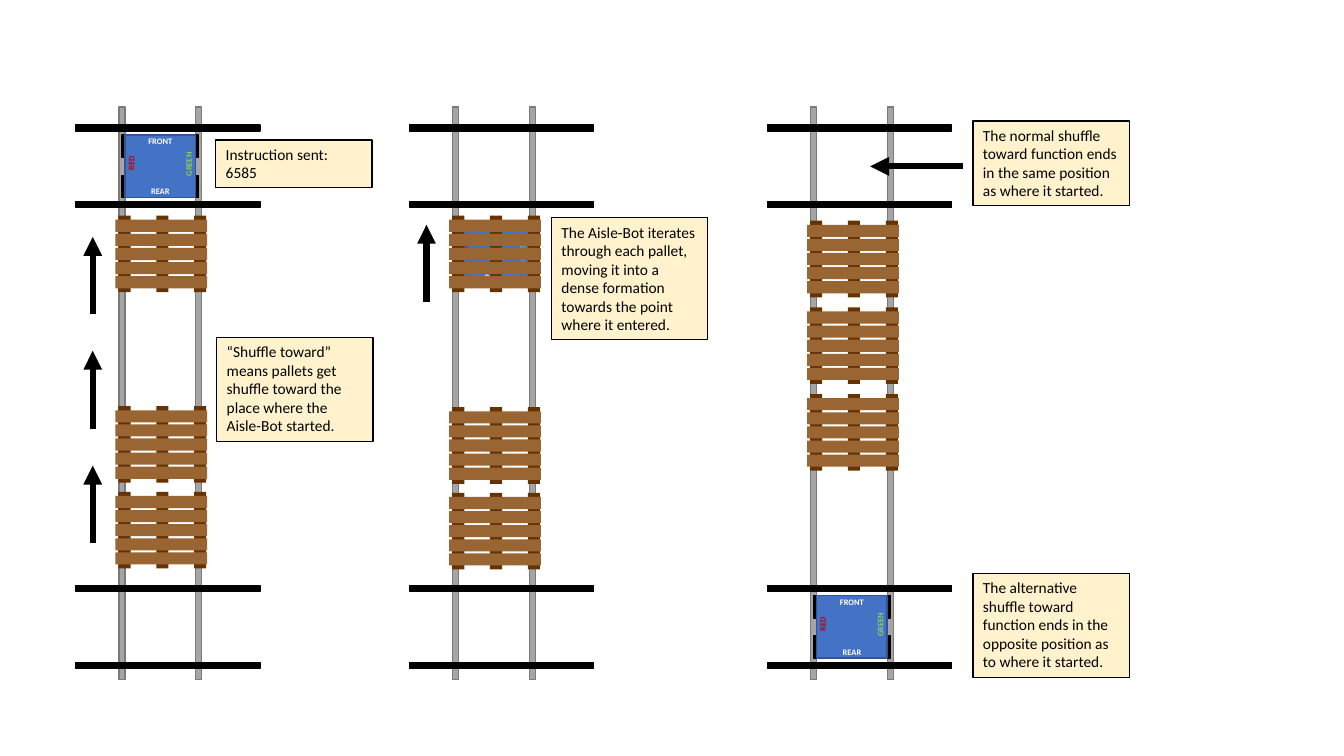
from lxml import etree
from pptx import Presentation
from pptx.dml.color import RGBColor
from pptx.enum.shapes import MSO_CONNECTOR, MSO_SHAPE
from pptx.enum.text import MSO_ANCHOR, PP_ALIGN
from pptx.oxml.ns import qn
from pptx.util import Inches, Pt

RECT = MSO_SHAPE.RECTANGLE
STRAIGHT = MSO_CONNECTOR.STRAIGHT
TOP = MSO_ANCHOR.TOP
LEFT, CENTER = PP_ALIGN.LEFT, PP_ALIGN.CENTER

NOTE_FONT = {"name": "Calibri", "size": Pt(11), "bold": False}
LABEL_FONT = {"name": "Calibri", "size": Pt(6), "bold": True}

LANE_TOP, LANE_H = 1.06, 5.68
RAIL_GAP, RAIL_W = 0.76, 0.06
AISLES = (1.24, 2.0, 5.81, 6.57)
AISLE_W, AISLE_OVERHANG = 1.83, 0.43
PALLET_W, PALLET_H = 0.91, 0.76
BOARD = 0.12
NOTE_W = 1.55

LANES = [
    {"x": 1.18, "robot": 1.34, "wheels": (0.03, 0.74), "pallets": (2.14, 4.03, 4.88)},
    {"x": 4.49, "robot": 2.19, "wheels": (0.74,), "pallets": (2.14, 4.04, 4.89)},
    {"x": 8.04, "robot": 5.91, "wheels": (0.03, 0.74), "pallets": (2.19, 3.05, 3.91)},
]
NOTES = [
    (2.14, 1.39, 0.47, ["Instruction sent:", "6585"]),
    (2.15, 3.35, 1.03, ["“Shuffle toward” means pallets get shuffle toward the "
                        "place where the Aisle-Bot started."]),
    (5.47, 2.16, 1.21, ["The Aisle-Bot iterates through each pallet, moving it into "
                        "a dense formation towards the point where it entered."]),
    (9.65, 1.2, 0.84, ["The normal shuffle toward function ends in the same "
                       "position as where it started."]),
    (9.65, 5.69, 1.03, ["The alternative shuffle toward function ends in the "
                        "opposite position as to where it started."]),
]
ARROWS = [
    (0.92, 3.12, 0.92, 2.35),
    (0.92, 4.26, 0.92, 3.48),
    (0.92, 5.39, 0.92, 4.62),
    (4.23, 3.0, 4.23, 2.23),
    (9.55, 1.65, 8.63, 1.65),
]


def rgb(value):
    """Turn a hex string into a colour."""
    return RGBColor.from_string(value)


def add_rect(shapes, x, y, w, h, fill, line=None):
    """Add a flat rectangle, outlined when a line colour is given."""
    sp = shapes.add_shape(RECT, Inches(x), Inches(y), Inches(w), Inches(h))
    sp.shadow.inherit = False
    sp.fill.solid()
    sp.fill.fore_color.rgb = rgb(fill)
    if line:
        sp.line.color.rgb = rgb(line)
        sp.line.width = Pt(1)
    else:
        sp.line.fill.background()
    return sp


def write(tf, lines, font, color, align):
    """Fill a text frame with one paragraph per line."""
    for i, line in enumerate(lines):
        p = tf.add_paragraph() if i else tf.paragraphs[0]
        p.alignment = align
        r = p.add_run()
        r.text = line
        for key, value in font.items():
            setattr(r.font, key, value)
        r.font.color.rgb = rgb(color)


def add_track(slide, x):
    """Draw the two rails of a lane and the aisles crossing it."""
    rails = slide.shapes.add_group_shape().shapes
    for i in range(2):
        add_rect(rails, x + i * RAIL_GAP, LANE_TOP, RAIL_W, LANE_H, "A5A5A5", "7A7A7A")
    aisles = slide.shapes.add_group_shape().shapes
    for y in AISLES:
        add_rect(aisles, x - AISLE_OVERHANG, y, AISLE_W, RAIL_W, "000000", "000000")


def add_robot(slide, x, y, wheels):
    """Draw the shuttle with its wheels and side labels on the lane at x."""
    shapes = slide.shapes.add_group_shape().shapes
    for dx in wheels:
        for dy in (0, 0.4):
            add_rect(shapes, x + dx, y + dy, 0.05, 0.22, "000000", "000000")
    add_rect(shapes, x + 0.06, y, 0.7, 0.62, "4472C4", "325491")
    for text, dx, dy, turn, color in (
        ("FRONT", 0.19, -0.04, 0, "FFFFFF"),
        ("REAR", 0.19, 0.46, 0, "FFFFFF"),
        ("GREEN", 0.47, 0.19, 270, "92D050"),
        ("RED", -0.1, 0.18, 270, "C00000"),
    ):
        sp = shapes.add_textbox(Inches(x + dx), Inches(y + dy), Inches(0.44), Inches(0.2))
        sp.rotation = turn
        sp.text_frame.word_wrap = False
        write(sp.text_frame, [text], LABEL_FONT, color, CENTER)


def add_pallet(slide, x, y):
    """Draw a pallet of three bearers under five slats."""
    shapes = slide.shapes.add_group_shape().shapes
    for i in range(3):
        add_rect(shapes, x + 0.03 + i * 0.375, y, BOARD, PALLET_H, "663300")
    for i in range(5):
        add_rect(shapes, x, y + 0.04 + i * 0.14, PALLET_W, BOARD, "996633")


def add_lane(slide, x, robot, wheels, pallets):
    """Draw one lane with its shuttle and pallets."""
    add_track(slide, x)
    add_robot(slide, x, robot, wheels)
    for y in pallets:
        add_pallet(slide, x - 0.035, y)


def add_note(slide, x, y, h, lines):
    """Add a cream note box."""
    sp = add_rect(slide.shapes, x, y, NOTE_W, h, "FFF2CC", "000000")
    tf = sp.text_frame
    tf.word_wrap = True
    tf.vertical_anchor = TOP
    write(tf, lines, NOTE_FONT, "000000", LEFT)


def add_arrow(slide, x1, y1, x2, y2):
    """Add a thick black arrow between two points."""
    c = slide.shapes.add_connector(STRAIGHT, Inches(x1), Inches(y1), Inches(x2), Inches(y2))
    c.line.color.rgb = rgb("000000")
    c.line.width = Pt(4.5)
    etree.SubElement(c.line._get_or_add_ln(), qn("a:tailEnd"), type="triangle")
    etree.SubElement(c._element.spPr, qn("a:effectLst"))


def main():
    """Build the slide and save it."""
    prs = Presentation()
    prs.slide_width, prs.slide_height = Inches(13.33), Inches(7.5)
    slide = prs.slides.add_slide(prs.slide_layouts[6])
    for lane in LANES:
        add_lane(slide, **lane)
    for note in NOTES:
        add_note(slide, *note)
    for arrow in ARROWS:
        add_arrow(slide, *arrow)
    prs.save("out.pptx")


if __name__ == "__main__":
    main()
